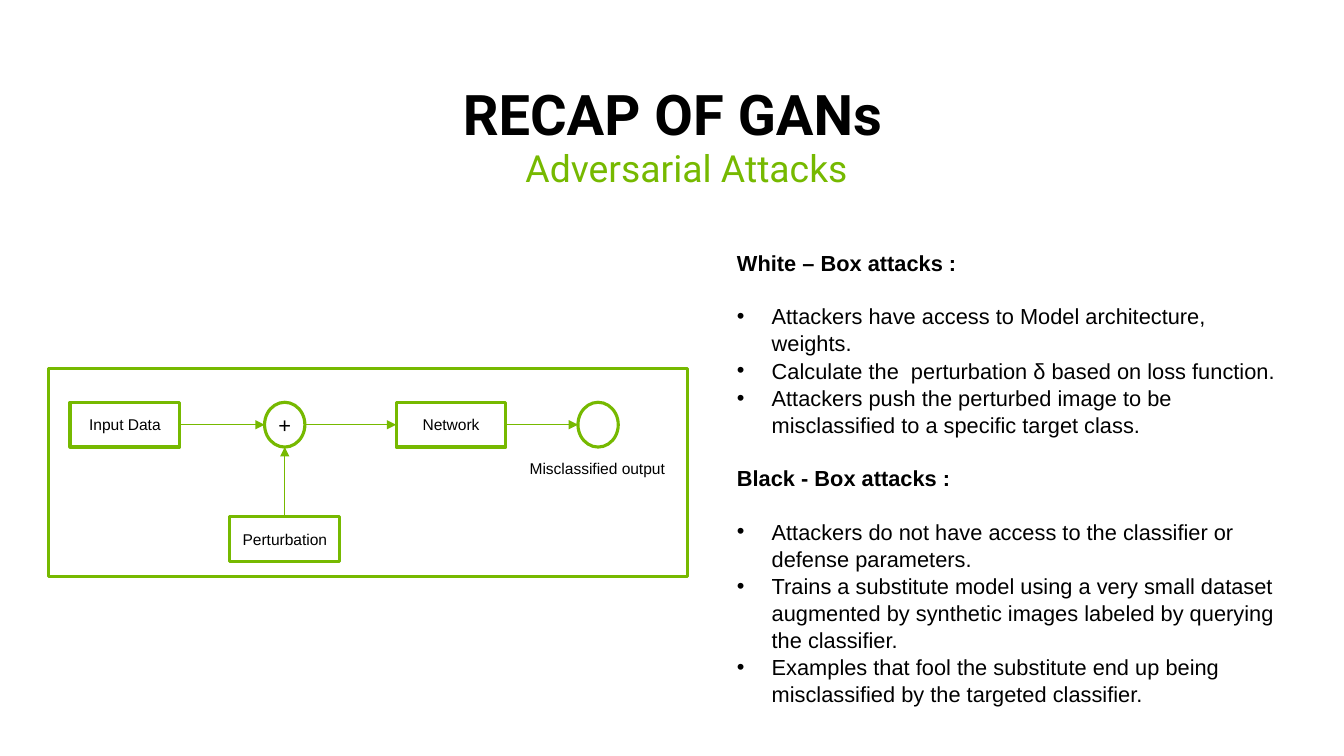
from collections import namedtuple
from lxml.etree import SubElement
from pptx import Presentation
from pptx.dml.color import RGBColor
from pptx.enum.shapes import MSO_CONNECTOR, MSO_SHAPE
from pptx.enum.text import MSO_ANCHOR, MSO_AUTO_SIZE, PP_ALIGN
from pptx.oxml.ns import qn
from pptx.util import Inches, Pt

COLORS = {"green": "76B900", "black": "000000"}
Box = namedtuple("Box", "left top width height")
WIDTH, HEIGHT = 12, 6.75
LINE = Pt(16.8)

ATTACKS = {
    "White – Box attacks :": [
        "Attackers have access to Model architecture, weights.",
        "Calculate the  perturbation δ based on loss function.",
        "Attackers push the perturbed image to be misclassified to a specific target class.",
    ],
    "Black - Box attacks :": [
        "Attackers do not have access to the classifier or defense parameters.",
        "Trains a substitute model using a very small dataset augmented by synthetic images labeled by querying the classifier.",
        "Examples that fool the substitute end up being misclassified by the targeted classifier.",
    ],
}


def color(name):
    return RGBColor.from_string(COLORS[name])


def place(shape, box):
    shape.left, shape.top, shape.width, shape.height = map(Inches, box)


def style(para, size, name="Arial", tint="black", bold=False):
    para.font.name, para.font.size, para.font.bold = name, Pt(size), bold
    para.font.color.rgb = color(tint)


def indent(para, margin, first, bullet=None):
    props = para._p.get_or_add_pPr()
    props.set("marL", str(Inches(margin)))
    props.set("indent", str(Inches(first)))
    if bullet:
        SubElement(props, qn("a:buFont"), typeface="Arial")
        SubElement(props, qn("a:buChar"), char=bullet)
    else:
        SubElement(props, qn("a:buNone"))


def add_heading(shape, box, text, anchor, size, tint, bold):
    place(shape, box)
    frame = shape.text_frame
    frame.text = text
    frame.auto_size = MSO_AUTO_SIZE.NONE
    frame.vertical_anchor = anchor
    para = frame.paragraphs[0]
    para.alignment = PP_ALIGN.CENTER
    para.line_spacing, para.space_before = 0.9, Pt(0)
    if not bold:
        indent(para, 0.5, -0.25)
    style(para, size, "Roboto", tint, bold)


def add_attack_list(shape, box):
    place(shape, box)
    frame = shape.text_frame
    frame.auto_size = MSO_AUTO_SIZE.NONE
    frame.vertical_anchor = MSO_ANCHOR.TOP
    rows = [(text, row) for heading, points in ATTACKS.items()
            for row, text in enumerate([heading, *points])]
    for number, (text, row) in enumerate(rows):
        para = frame.add_paragraph() if number else frame.paragraphs[0]
        para.text = text
        para.line_spacing = 1.04
        para.space_before = LINE if number and row < 2 else Pt(0)
        if row:
            indent(para, 0.31, -0.31, "•")
        else:
            indent(para, 0, 0)
        style(para, 14, bold=row == 0)


def add_node(group, kind, box, text="", size=10):
    node = group.shapes.add_shape(kind, *map(Inches, box))
    node.shadow.inherit = False
    node.fill.background()
    node.line.color.rgb = color("green")
    node.line.width = Pt(2)
    if text:
        frame = node.text_frame
        frame.text = text
        frame.vertical_anchor = MSO_ANCHOR.MIDDLE
        frame.margin_left = frame.margin_right = 0
        frame.margin_top = frame.margin_bottom = 0
        frame.paragraphs[0].alignment = PP_ALIGN.CENTER
        style(frame.paragraphs[0], size)
    return node


def add_arrow(group, start, end):
    arrow = group.shapes.add_connector(MSO_CONNECTOR.STRAIGHT, *start, *end)
    arrow.line.color.rgb = color("green")
    arrow.line.width = Pt(0.75)
    SubElement(arrow.line._get_or_add_ln(), qn("a:tailEnd"), type="triangle")
    SubElement(arrow._element.spPr, qn("a:effectLst"))


def add_attack_diagram(page, box):
    group = page.shapes.add_group_shape()
    columns = [box.left + share * box.width for share in (0.12, 0.37, 0.63, 0.86)]
    upper, lower = [box.top + share * box.height for share in (0.27, 0.82)]
    tall, wide, round_width = 0.4, 0.98, 0.36

    def node_at(x, y, text, size=10, is_round=False):
        width = round_width if is_round else wide
        kind = MSO_SHAPE.OVAL if is_round else MSO_SHAPE.RECTANGLE
        return add_node(group, kind, Box(x - width / 2, y - tall / 2, width, tall), text, size)

    chain = [
        node_at(columns[0], upper, "Input Data"),
        node_at(columns[1], upper, "+", 14, True),
        node_at(columns[2], upper, "Network"),
        node_at(columns[3], upper, "", is_round=True),
    ]
    perturbation = node_at(columns[1], lower, "Perturbation")
    for source, target in zip(chain, chain[1:]):
        add_arrow(group, (source.left + source.width, Inches(upper)), (target.left, Inches(upper)))
    add_arrow(group, (Inches(columns[1]), perturbation.top),
              (Inches(columns[1]), chain[1].top + chain[1].height))

    caption = Box(columns[3] - 0.71, upper + 0.26, 1.5, 0.27)
    label = group.shapes.add_textbox(*map(Inches, caption))
    label.text_frame.word_wrap = True
    label.text_frame.text = "Misclassified output"
    style(label.text_frame.paragraphs[0], 10)
    add_node(group, MSO_SHAPE.RECTANGLE, box)


def main():
    deck = Presentation()
    deck.slide_width, deck.slide_height = Inches(WIDTH), Inches(HEIGHT)
    page = deck.slides.add_slide(deck.slide_layouts[3])
    title, subtitle, attacks = [page.placeholders[index] for index in range(3)]
    add_heading(title, Box(0.55, 0.72, 10.91, 0.65), "RECAP OF GANs",
                MSO_ANCHOR.BOTTOM, 36, "black", True)
    add_heading(subtitle, Box(0.55, 1.29, 10.91, 0.57), "Adversarial Attacks",
                MSO_ANCHOR.TOP, 24, "green", False)
    add_attack_diagram(page, Box(0.43, 3.29, 5.71, 1.86))
    add_attack_list(attacks, Box(6.48, 2.17, 5.09, 4.2))
    deck.save("out.pptx")


if __name__ == "__main__":
    main()
